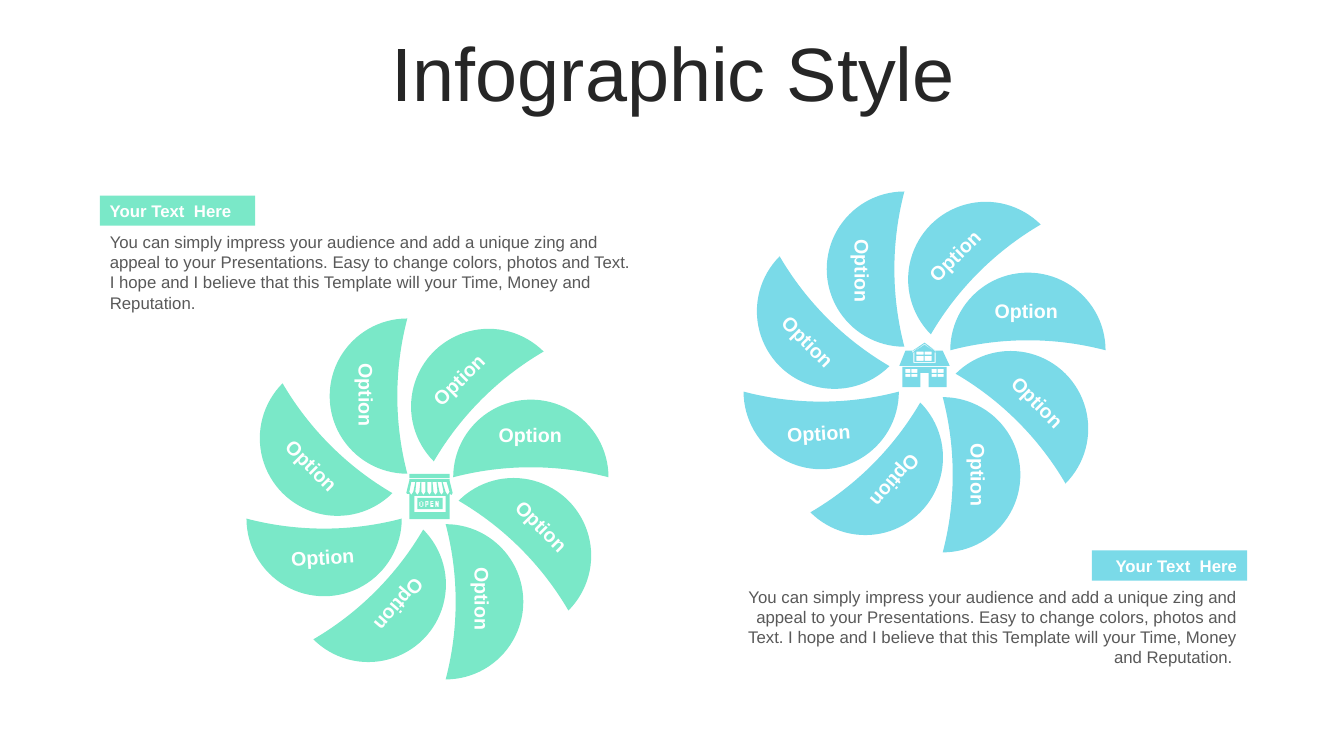
from dataclasses import dataclass

from pptx import Presentation
from pptx.dml.color import RGBColor
from pptx.enum.shapes import MSO_SHAPE as Preset
from pptx.enum.text import MSO_ANCHOR as Anchor, MSO_AUTO_SIZE as AutoSize, PP_ALIGN as Align
from pptx.util import Pt


@dataclass(frozen=True)
class Theme:
    font: str = "Arial"
    green: str = "7AE8C8"
    blue: str = "7ADAE8"
    white: str = "FFFFFF"
    title_ink: str = "262626"
    body_ink: str = "595959"
    title_size: int = 54
    label_size: int = 14
    body_size: int = 12


class SlideBuilder:
    SCALE = 9144

    def __init__(self, page, theme):
        self.page = page
        self.theme = theme

    def px(self, *lengths):
        return [length * self.SCALE for length in lengths]

    def paint(self, shape, color):
        shape.shadow.inherit = False
        shape.fill.solid()
        shape.fill.fore_color.rgb = RGBColor.from_string(color)
        shape.line.fill.background()

    def style_text(self, shape, text, size, color, bold=False, align=Align.LEFT):
        frame = shape.text_frame
        frame.word_wrap = True
        frame.text = text
        para = frame.paragraphs[0]
        para.alignment = align
        for span in para.runs:
            span.font.name = self.theme.font
            span.font.size = Pt(size)
            span.font.bold = bold
            span.font.color.rgb = RGBColor.from_string(color)
        return frame

    def text(self, box, text, size, color, bold=False, align=Align.LEFT, rotation=0):
        shape = self.page.shapes.add_textbox(*self.px(*box))
        shape.rotation = rotation
        frame = self.style_text(shape, text, size, color, bold, align)
        frame.auto_size = AutoSize.SHAPE_TO_FIT_TEXT
        return frame

    def title(self, box, text):
        frame = self.text(box, text, self.theme.title_size, self.theme.title_ink, align=Align.CENTER)
        frame.auto_size = AutoSize.NONE
        frame.vertical_anchor = Anchor.MIDDLE
        frame.paragraphs[0].line_spacing = 0.9

    def tag(self, box, text, color, align):
        shape = self.page.shapes.add_shape(Preset.RECTANGLE, *self.px(*box))
        self.paint(shape, color)
        frame = self.style_text(shape, text, self.theme.body_size, self.theme.white, True, align)
        frame.vertical_anchor = Anchor.MIDDLE

    def petals(self, center, color):
        group = self.page.shapes.add_group_shape()
        for angle, left, top in PETALS:
            box = self.px(center[0] + left, center[1] + top, 77, 154)
            petal = group.shapes.add_shape(Preset.MOON, *box)
            petal.adjustments[0] = 0.871
            petal.rotation = angle
            self.paint(petal, color)

    def petal_labels(self, center):
        for angle, left, top in LABELS:
            box = (center[0] + left, center[1] + top, 94, 34)
            self.text(box, "Option", self.theme.label_size, self.theme.white, True, Align.CENTER, angle)

    def icon(self, contours, color):
        first, *others = contours
        outline = self.page.shapes.build_freeform(*first[0], scale=self.SCALE)
        outline.add_line_segments(first[1:], close=True)
        for contour in others:
            outline.move_to(*contour[0])
            outline.add_line_segments(contour[1:], close=True)
        self.paint(outline.convert_to_shape(), color)


def rect(left, top, right, bottom):
    return [(left, top), (right, top), (right, bottom), (left, bottom)]


def awning_stripe(index):
    top = 408 + round(5.2 * index)
    foot = 406 + 6 * index
    return [(top, 478), (top + 4, 478), (foot + 4, 488), (foot + 2, 491), (foot, 488)]


PETALS = [
    (270, -141, -18), (90, 64, -136), (135, 74, -47), (180, 18, 26),
    (315, -155, -109), (0, -97, -178), (45, -5, -195), (225, -70, 36),
]
LABELS = [
    (0, 55, -79), (45, 66, 11), (90, 7, 83), (130.9, -75, 89),
    (356.3, -151, 42), (45, -162, -49), (90, -108, -119), (315, -16, -134),
]

OPEN_LETTERS = [
    [(418, 497), (420, 498), (420, 502), (418, 503), (416, 502), (416, 498)],
    rect(417, 498, 419, 502),
    [(422, 497), (425, 497), (425, 501), (423, 501), (423, 503), (422, 503)],
    rect(423, 498, 424, 500),
    [(427, 497), (430, 497), (430, 498), (428, 498), (428, 499), (430, 499),
     (430, 500), (428, 500), (428, 501), (430, 501), (430, 503), (427, 503)],
    [(432, 497), (433, 497), (434, 499), (434, 497), (435, 497),
     (435, 503), (434, 503), (433, 501), (433, 503), (432, 503)],
]
STORE = [
    [(406, 475), (446, 475), (446, 477), (449, 489), (448, 491), (446, 490), (446, 515),
     (406, 515), (406, 490), (404, 490), (403, 489), (406, 477)],
    rect(406, 470, 446, 474),
    rect(411, 492, 442, 508),
    rect(414, 494, 439, 505),
    *map(awning_stripe, range(7)),
    *OPEN_LETTERS,
]

WALL_PANES = [
    rect(left, top, right, bottom)
    for left, right in [(898, 903), (904, 910), (924, 929), (930, 936)]
    for top, bottom in [(366, 370), (371, 374)]
]
GABLE_PANES = [
    rect(left, top, left + 7, bottom)
    for left in (909, 917)
    for top, bottom in [(349, 352), (353, 358)]
]
HOUSE = [
    [(892, 363), (898, 348), (906, 348), (917, 340), (928, 348), (935, 348), (942, 363)],
    [(917, 340), (905, 348), (905, 350), (917, 342), (928, 350), (928, 348)],
    [(917, 340), (928, 349), (927, 349), (917, 341), (906, 349)],
    [(906, 350), (907, 349), (907, 359), (927, 359), (927, 349), (928, 350), (928, 360), (906, 360)],
    [(895, 364), (939, 364), (939, 384), (921, 384), (921, 370), (913, 370), (913, 384), (895, 384)],
    *WALL_PANES,
    *GABLE_PANES,
]

MESSAGE = (
    "You can simply impress your audience and add a unique zing and appeal to your "
    "Presentations. Easy to change colors, photos and Text. I hope and I believe that "
    "this Template will your Time, Money and Reputation."
)


def main():
    theme = Theme()
    deck = Presentation()
    deck.slide_width, deck.slide_height = 1333 * SlideBuilder.SCALE, 750 * SlideBuilder.SCALE
    slide = SlideBuilder(deck.slides.add_slide(deck.slide_layouts[6]), theme)

    slide.title((35, 37, 1266, 79), "Infographic Style")
    slide.petals((424, 494), theme.green)
    slide.petals((917, 368), theme.blue)

    blocks = [
        ((99, 194, 154, 30), (99, 225, 538, 91), MESSAGE, theme.green, Align.LEFT),
        ((1083, 546, 154, 30), (702, 577, 535, 91), MESSAGE + " ", theme.blue, Align.RIGHT),
    ]
    for tag_box, text_box, message, color, align in blocks:
        slide.tag(tag_box, "Your Text  Here", color, align)
        slide.text(text_box, message, theme.body_size, theme.body_ink, align=align)

    slide.petal_labels((424, 494))
    slide.petal_labels((916, 371))
    slide.icon(STORE, theme.green)
    slide.icon(HOUSE, theme.blue)
    deck.save("out.pptx")


if __name__ == "__main__":
    main()
